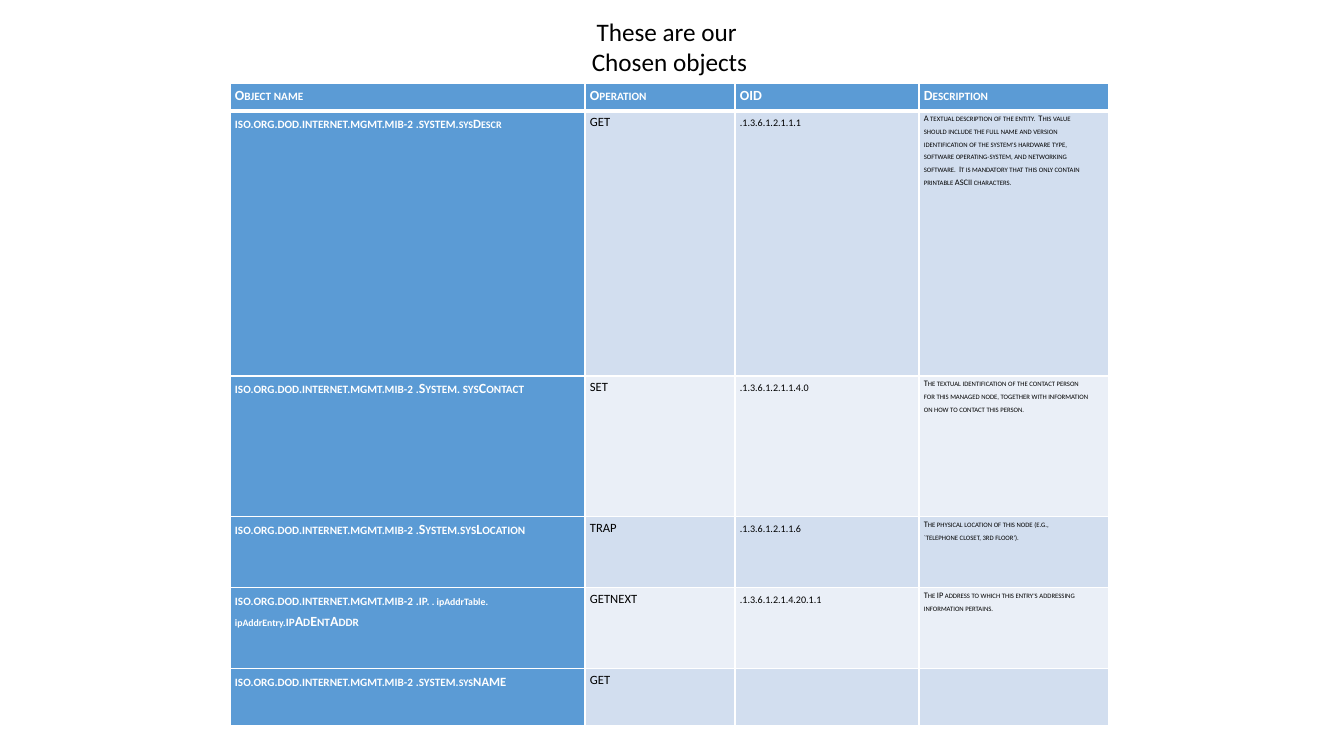
"""Build the slide that lists the chosen SNMP objects in a table."""
from dataclasses import dataclass
from typing import NamedTuple, Optional

from lxml.etree import SubElement
from pptx import Presentation
from pptx.dml.color import RGBColor as RGB
from pptx.enum.text import MSO_ANCHOR as Anchor, MSO_AUTO_SIZE as AutoSize, PP_ALIGN as Align
from pptx.oxml.ns import qn
from pptx.util import Emu, Pt


@dataclass(frozen=True)
class Theme:
    """Colours, font and type sizes of the slide."""
    font: str = "Calibri"
    ink: str = "000000"
    white: str = "FFFFFF"
    accent: str = "5B9BD5"
    bands: tuple = ("D2DEEF", "EAEFF7")
    title: int = 18
    name: int = 10
    value: int = 9
    detail: int = 6
    rule: float = 1
    header_rule: float = 3
    line_spacing: float = 1.25


class Part(NamedTuple):
    """A stretch of an object name with its own size or capitals."""
    text: str
    size: Optional[int] = None
    small_caps: bool = True


class ManagedObject(NamedTuple):
    """One row of the table."""
    height: int
    name: tuple
    operation: str
    oid: str = ""
    description: tuple = ()


THEME = Theme()
PX = 9071.43
MIB = "iso.org.dod.internet.mgmt.mib-2 ."
HEADINGS = ("Object name", "Operation", "OID", "Description")
COLUMN_WIDTHS = (355, 150, 184, 190)
HEADER_HEIGHT = 28
OBJECTS = (
    ManagedObject(265, (Part(MIB + "system."), Part("sysDescr  ", THEME.value)), "GET", ".1.3.6.1.2.1.1.1", (
        "A textual description of the entity.  This value",
        "should include the full name and version",
        "identification of the system's hardware type,",
        "software operating-system, and networking",
        "software.  It is mandatory that this only contain",
        "printable ASCII characters.")),
    ManagedObject(141, (Part(MIB + "System. sysContact"),), "SET", ".1.3.6.1.2.1.1.4.0", (
        "The textual identification of the contact person",
        "for this managed node, together with information",
        "on how to contact this person.")),
    ManagedObject(71, (Part(MIB + "System.sysLocation"),), "TRAP", ".1.3.6.1.2.1.1.6", (
        "The physical location of this node (e.g.,",
        "`telephone closet, 3rd floor').")),
    ManagedObject(81, (Part(MIB + "ip."), Part(" . ipAddrTable. ipAddrEntry.", 7, False), Part("ipAdEntAddr")),
                  "GETNEXT", ".1.3.6.1.2.1.4.20.1.1", (
        "The IP address to which this entry's addressing",
        "information pertains.")),
    ManagedObject(57, (Part(MIB + "system."), Part("sysNAME ", THEME.value)), "GET"),
)


def px(length: float) -> Emu:
    """Turn pixels into EMU."""
    return Emu(round(length * PX))


def style_font(font, size: int, colour: str, bold: bool = False) -> None:
    """Apply the theme font with a size, colour and weight."""
    font.name, font.size, font.bold = THEME.font, Pt(size), bold
    font.color.rgb = RGB.from_string(colour)


def add_border(cell, side: str, width: float) -> None:
    """Draw one white cell border."""
    border = SubElement(cell._tc.get_or_add_tcPr(), qn(f"a:ln{side}"), w=str(Pt(width)))
    SubElement(SubElement(border, qn("a:solidFill")), qn("a:srgbClr"), val=THEME.white)


def format_cell(cell, fill: str, row: int) -> None:
    """Set the margins, borders and fill of a cell."""
    cell.margin_left = cell.margin_right = px(5)
    cell.margin_top = cell.margin_bottom = 0
    header_sides = {0: "B", 1: "T"}
    for side in "LRTB":
        add_border(cell, side, THEME.header_rule if header_sides.get(row) == side else THEME.rule)
    cell.fill.solid()
    cell.fill.fore_color.rgb = RGB.from_string(fill)


def write_cell(cell, lines: tuple, size: int, colour: str, bold: bool = False) -> None:
    """Write each line, made of parts, as a paragraph in small capitals."""
    for index, parts in enumerate(lines):
        frame = cell.text_frame
        paragraph = frame.add_paragraph() if index else frame.paragraphs[0]
        paragraph.line_spacing = THEME.line_spacing
        style_font(paragraph.font, size, colour, bold)
        for part in parts:
            run = paragraph.add_run()
            run.text = part.text
            if part.size:
                run.font.size = Pt(part.size)
            run._r.get_or_add_rPr().set("cap", "small" if part.small_caps else "none")


def add_title(slide) -> None:
    """Place the two-line title above the table."""
    title = slide.shapes.title
    title.left, title.top, title.width, title.height = px(581), px(11), px(177), px(72)
    frame = title.text_frame
    frame.text = "These are our \nChosen objects"
    frame.word_wrap, frame.auto_size = False, AutoSize.SHAPE_TO_FIT_TEXT
    frame.vertical_anchor = Anchor.TOP
    for paragraph in frame.paragraphs:
        paragraph.alignment = Align.CENTER
        style_font(paragraph.font, THEME.title, THEME.ink)


def add_objects_table(slide) -> None:
    """Draw the table of managed objects."""
    heights = (HEADER_HEIGHT, *(item.height for item in OBJECTS))
    table = slide.shapes.add_table(len(heights), len(HEADINGS), px(230), px(83),
                                   px(sum(COLUMN_WIDTHS)), px(sum(heights))).table
    table.first_col = True
    for column, width in zip(table.columns, COLUMN_WIDTHS):
        column.width = px(width)
    for row, height in zip(table.rows, heights):
        row.height = px(height)
    for column, heading in enumerate(HEADINGS):
        cell = table.cell(0, column)
        format_cell(cell, THEME.accent, 0)
        write_cell(cell, ((Part(heading),),), THEME.name, THEME.white, True)
    for row, item in enumerate(OBJECTS, 1):
        band = THEME.bands[(row - 1) % 2]
        for column in range(len(HEADINGS)):
            format_cell(table.cell(row, column), band if column else THEME.accent, row)
        write_cell(table.cell(row, 0), (item.name,), THEME.name, THEME.white, True)
        for column, value in enumerate((item.operation, item.oid), 1):
            if value:
                write_cell(table.cell(row, column), ((Part(value),),), THEME.value, THEME.ink)
        description = tuple((Part(line),) for line in item.description)
        write_cell(table.cell(row, 3), description, THEME.detail, THEME.ink)


def main() -> None:
    """Create the presentation and save it."""
    deck = Presentation()
    deck.slide_width, deck.slide_height = px(1344), px(756)
    slide = deck.slides.add_slide(deck.slide_layouts.get_by_name("Title Only"))
    add_title(slide)
    add_objects_table(slide)
    deck.save("out.pptx")


main()
